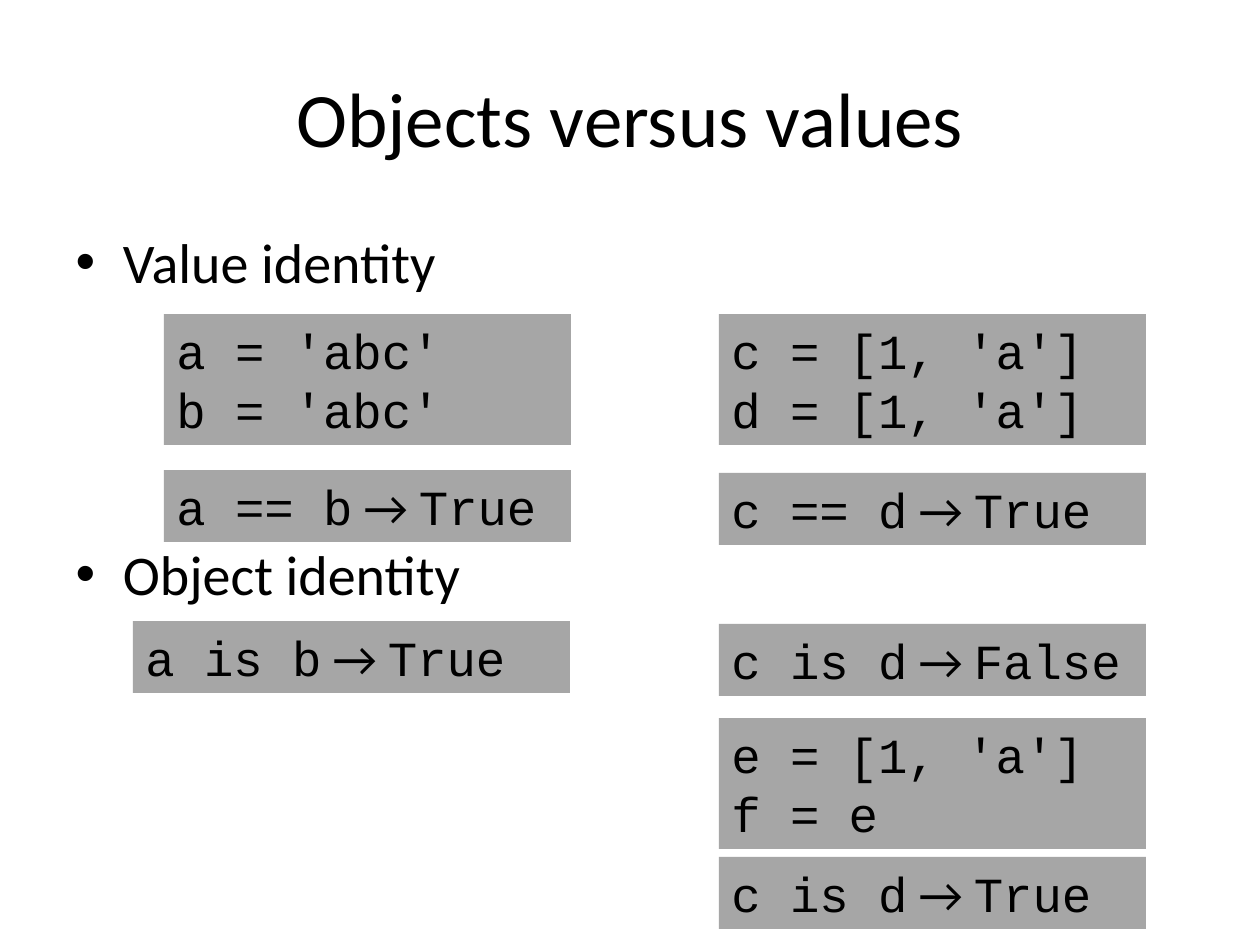
from pptx import Presentation
from pptx.dml.color import RGBColor
from pptx.enum.shapes import MSO_SHAPE
from pptx.enum.text import MSO_ANCHOR, MSO_AUTO_SIZE, PP_ALIGN
from pptx.util import Emu, Pt

RECTANGLE = MSO_SHAPE.RECTANGLE
TOP, MIDDLE = MSO_ANCHOR.TOP, MSO_ANCHOR.MIDDLE
LEFT, CENTER = PP_ALIGN.LEFT, PP_ALIGN.CENTER
FIT_SHAPE = MSO_AUTO_SIZE.SHAPE_TO_FIT_TEXT

THEME = {
    "text": RGBColor(0x00, 0x00, 0x00),
    "box": RGBColor(0xA6, 0xA6, 0xA6),
    "font": "Calibri",
    "code_font": "Courier New",
    "title_size": Pt(44),
    "body_size": Pt(32),
    "code_size": Pt(28),
}
PIXELS_PER_INCH = 126


def px(*lengths):
    return [Emu(round(length * 914400 / PIXELS_PER_INCH)) for length in lengths]


def add_run(paragraph, text, font, size):
    run = paragraph.add_run()
    run.text = text
    run.font.name = font
    run.font.size = size
    run.font.color.rgb = THEME["text"]


presentation = Presentation()
presentation.slide_width, presentation.slide_height = px(1260, 945)
slide = presentation.slides.add_slide(presentation.slide_layouts[1])

# Title
title = slide.shapes.title
title.left, title.top, title.width, title.height = px(63, 38, 1134, 157)
title.text_frame.vertical_anchor = MIDDLE
paragraph = title.text_frame.paragraphs[0]
paragraph.alignment = CENTER
add_run(paragraph, "Objects versus values", THEME["font"], THEME["title_size"])

# Bullets, spaced apart to leave room for the code boxes
body = slide.placeholders[1]
body.left, body.top, body.width, body.height = px(63, 221, 1134, 624)
first_bullet = body.text_frame.paragraphs[0]
second_bullet = body.text_frame.add_paragraph()
second_bullet.space_before = Pt(140)
add_run(first_bullet, "Value identity", THEME["font"], THEME["body_size"])
add_run(second_bullet, "Object identity", THEME["font"], THEME["body_size"])

# Code boxes: left, top, width, lines; a result follows its expression
ONE_LINE, LINE_STEP = 72, 59
RIGHT_LEFT, RIGHT_WIDTH = 719, 427
code_boxes = [
    (RIGHT_LEFT, 314, RIGHT_WIDTH, [("c = [1, 'a']",), ("d = [1, 'a']",)]),
    (164, 314, 407, [("a = 'abc'",), ("b = 'abc'",)]),
    (164, 470, 407, [("a == b", "True")]),
    (RIGHT_LEFT, 473, RIGHT_WIDTH, [("c == d", "True")]),
    (133, 621, 437, [("a is b", "True")]),
    (RIGHT_LEFT, 624, RIGHT_WIDTH, [("c is d", "False")]),
    (RIGHT_LEFT, 718, RIGHT_WIDTH, [("e = [1, 'a']",), ("f = e",)]),
    (RIGHT_LEFT, 857, RIGHT_WIDTH, [("c is d", "True")]),
]
for left, top, width, lines in code_boxes:
    height = ONE_LINE + LINE_STEP * (len(lines) - 1)
    shape = slide.shapes.add_shape(RECTANGLE, *px(left, top, width, height))
    shape.shadow.inherit = False
    shape.fill.solid()
    shape.fill.fore_color.rgb = THEME["box"]
    shape.line.fill.background()
    frame = shape.text_frame
    frame.word_wrap = True
    frame.auto_size = FIT_SHAPE
    frame.vertical_anchor = TOP
    for index, (code, *results) in enumerate(lines):
        paragraph = frame.add_paragraph() if index else frame.paragraphs[0]
        paragraph.alignment = LEFT
        add_run(paragraph, code, THEME["code_font"], THEME["code_size"])
        for result in results:
            add_run(paragraph, " → ", THEME["font"], THEME["code_size"])
            add_run(paragraph, result, THEME["code_font"], THEME["code_size"])

presentation.save("out.pptx")
